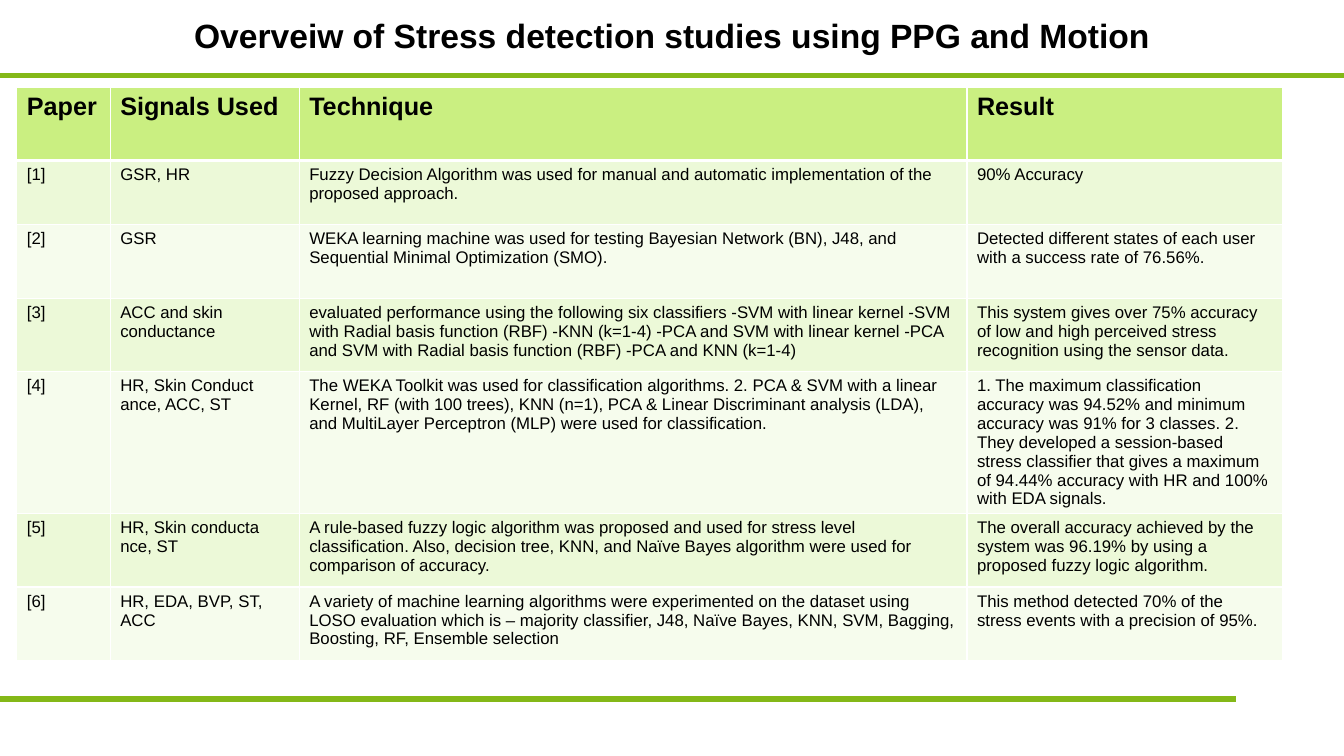
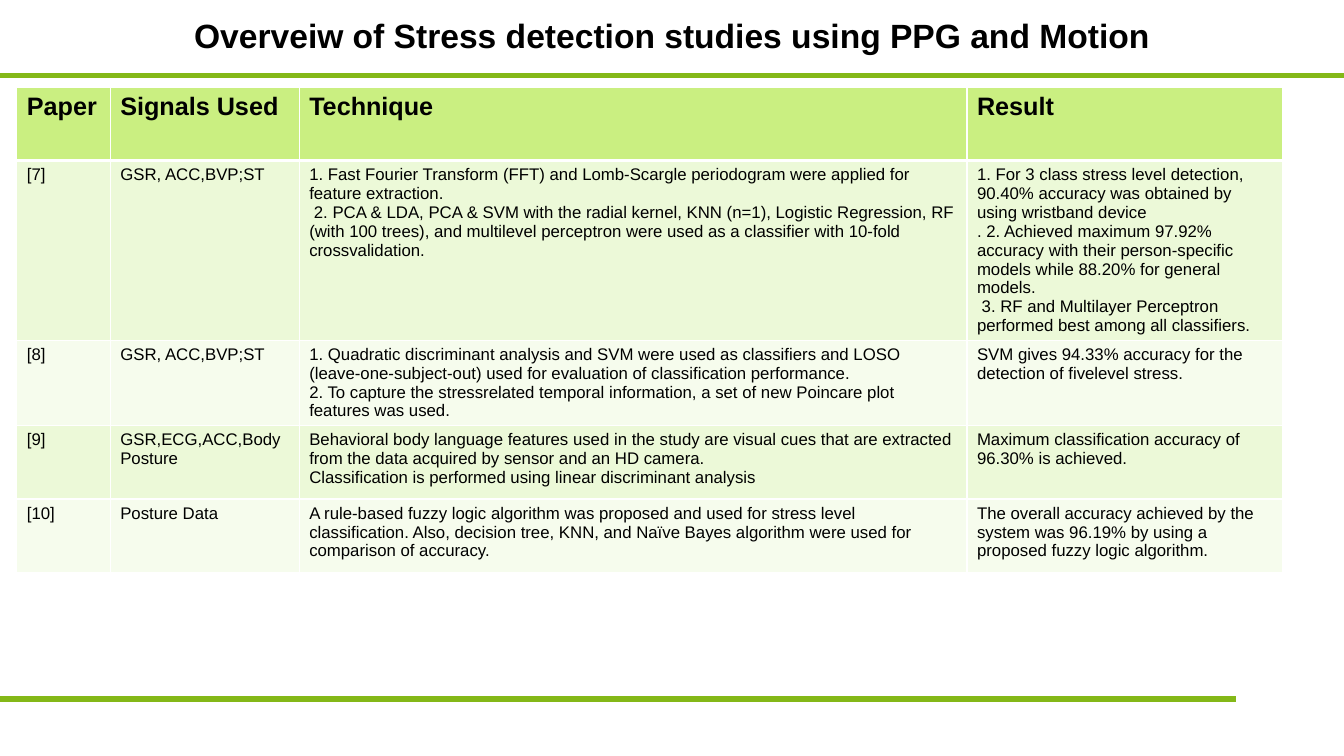
"""Two slides that tabulate stress detection studies."""
from dataclasses import dataclass

from lxml import etree
from pptx import Presentation
from pptx.dml.color import RGBColor
from pptx.enum.shapes import MSO_CONNECTOR
from pptx.enum.text import MSO_ANCHOR, MSO_AUTO_SIZE, PP_ALIGN
from pptx.oxml.ns import qn
from pptx.util import Emu, Pt

LINE = MSO_CONNECTOR.STRAIGHT
MIDDLE = MSO_ANCHOR.MIDDLE
FIXED = MSO_AUTO_SIZE.NONE
LEFT, CENTER = PP_ALIGN.LEFT, PP_ALIGN.CENTER
SCALE = 9525
WIDE, HIGH = 1280, 720
COLS = (89, 180, 636, 301)
HEAD = ("Paper", "Signals Used", "Technique", "Result")
TITLE = "Overveiw of Stress detection studies using PPG and Motion"


@dataclass(frozen=True)
class Theme:
    font: str = "Arial"
    ink: str = "000000"
    rule: str = "84B818"
    head: str = "CAEF81"
    bands: tuple[str, str] = ("ECF9D8", "F6FCED")
    edge: str = "FFFFFF"
    title: int = 24
    label: int = 18
    body: int = 12
    thick: int = 4
    thin: int = 1
    heavy: int = 3


@dataclass(frozen=True)
class Rule:
    y: int
    end: int


@dataclass(frozen=True)
class Study:
    high: int
    paper: str
    signals: str
    method: str
    result: str

    @property
    def cells(self) -> tuple[str, ...]:
        return self.paper, self.signals, self.method, self.result


THEME = Theme()
RULES = (Rule(72, WIDE), Rule(666, 1177))
FUZZY = (
    "A rule-based fuzzy logic algorithm was proposed and used for stress level "
    "classification. Also, decision tree, KNN, and Naïve Bayes algorithm were used "
    "for comparison of accuracy."
)
SCORE = (
    "The overall accuracy achieved by the system was 96.19% by using a proposed "
    "fuzzy logic algorithm."
)
DECK = (
    (
        Study(
            61, "[1]", "GSR, HR",
            "Fuzzy Decision Algorithm was used for manual and automatic "
            "implementation of the proposed approach.",
            "90% Accuracy",
        ),
        Study(
            70, "[2]", "GSR",
            "WEKA learning machine was used for testing Bayesian Network (BN), J48, "
            "and Sequential Minimal Optimization (SMO).",
            "Detected different states of each user with a success rate of 76.56%.",
        ),
        Study(
            70, "[3]", "ACC and skin conductance",
            "evaluated performance using the following six classifiers -SVM with "
            "linear kernel -SVM with Radial basis function (RBF) -KNN (k=1-4) -PCA "
            "and SVM with linear kernel -PCA and SVM with Radial basis function "
            "(RBF) -PCA and KNN (k=1-4)",
            "This system gives over 75% accuracy of low and high perceived stress "
            "recognition using the sensor data.",
        ),
        Study(
            135, "[4]", "HR, Skin Conduct ance, ACC, ST",
            "The WEKA Toolkit was used for classification algorithms. 2. PCA & SVM "
            "with a linear Kernel, RF (with 100 trees), KNN (n=1), PCA & Linear "
            "Discriminant analysis (LDA), and MultiLayer Perceptron (MLP) were used "
            "for classification.",
            "1. The maximum classification accuracy was 94.52% and minimum accuracy "
            "was 91% for 3 classes. 2. They developed a session-based stress "
            "classifier that gives a maximum of 94.44% accuracy with HR and 100% "
            "with EDA signals.",
        ),
        Study(70, "[5]", "HR, Skin conducta nce, ST", FUZZY, SCORE),
        Study(
            70, "[6]", "HR, EDA, BVP, ST, ACC",
            "A variety of machine learning algorithms were experimented on the "
            "dataset using LOSO evaluation which is – majority classifier, J48, "
            "Naïve Bayes, KNN, SVM, Bagging, Boosting, RF, Ensemble selection",
            "This method detected 70% of the stress events with a precision of 95%.",
        ),
    ),
    (
        Study(
            171, "[7]", "GSR, ACC,BVP;ST",
            "1. Fast Fourier Transform (FFT) and Lomb-Scargle periodogram were "
            "applied for feature extraction.\n"
            " 2. PCA & LDA, PCA & SVM with the radial kernel, KNN (n=1), Logistic "
            "Regression, RF (with 100 trees), and multilevel perceptron were used as "
            "a classifier with 10-fold crossvalidation.",
            "1. For 3 class stress level detection, 90.40% accuracy was obtained by "
            "using wristband device\n"
            ". 2. Achieved maximum 97.92% accuracy with their person-specific models "
            "while 88.20% for general models.\n"
            " 3. RF and Multilayer Perceptron performed best among all classifiers.",
        ),
        Study(
            81, "[8]", "GSR, ACC,BVP;ST",
            "1. Quadratic discriminant analysis and SVM were used as classifiers and "
            "LOSO (leave-one-subject-out) used for evaluation of classification "
            "performance.\n"
            "2. To capture the stressrelated temporal information, a set of new "
            "Poincare plot features was used.",
            "SVM gives 94.33% accuracy for the detection of fivelevel stress.",
        ),
        Study(
            70, "[9]", "GSR,ECG,ACC,Body Posture",
            "Behavioral body language features used in the study are visual cues "
            "that are extracted from the data acquired by sensor and an HD camera.\n"
            "Classification is performed using linear discriminant analysis",
            "Maximum classification accuracy of 96.30% is achieved.",
        ),
        Study(70, "[10]", "Posture Data", FUZZY, SCORE),
    ),
)


def px(size: int) -> Emu:
    """Turn pixels into EMU."""
    return Emu(size * SCALE)


def put(frame, text: str, *, size: int, bold: bool = False, align=LEFT) -> None:
    """Write text, one paragraph a line, in one format."""
    frame.text = text
    for para in frame.paragraphs:
        para.alignment = align
        for run in para.runs:
            font = run.font
            font.name, font.size, font.bold = THEME.font, Pt(size), bold
            font.color.rgb = RGBColor.from_string(THEME.ink)


def edge(cell, side: str, width: int) -> None:
    """Draw one border of a table cell."""
    props = cell._tc.get_or_add_tcPr()
    line = etree.SubElement(props, qn(f"a:ln{side}"), w=str(Pt(width)))
    fill = etree.SubElement(line, qn("a:solidFill"))
    etree.SubElement(fill, qn("a:srgbClr"), val=THEME.edge)


def draw_rule(slide, layout, rule: Rule) -> None:
    """Draw a green rule and move it to the layout."""
    line = slide.shapes.add_connector(LINE, 0, px(rule.y), px(rule.end), px(rule.y))
    line.line.color.rgb = RGBColor.from_string(THEME.rule)
    line.line.width = Pt(THEME.thick)
    etree.SubElement(line.element.spPr, qn("a:effectLst"))
    layout.shapes.element.append(line.element)


def draw_title(slide) -> None:
    """Fill the title placeholder."""
    frame = slide.shapes.title.text_frame
    frame.margin_left = frame.margin_right = 0
    frame.margin_top = frame.margin_bottom = 0
    frame.auto_size, frame.vertical_anchor = FIXED, MIDDLE
    put(frame, TITLE, size=THEME.title, bold=True, align=CENTER)


def draw_cell(cell, text: str, row: int) -> None:
    """Format one cell by the row it is in."""
    head = row == 0
    widths = {
        "L": THEME.thin,
        "R": THEME.thin,
        "T": THEME.heavy if row == 1 else THEME.thin,
        "B": THEME.heavy if head else THEME.thin,
    }
    for side, width in widths.items():
        edge(cell, side, width)
    cell.fill.solid()
    tint = THEME.head if head else THEME.bands[(row - 1) % 2]
    cell.fill.fore_color.rgb = RGBColor.from_string(tint)
    size = THEME.label if head else THEME.body
    put(cell.text_frame, text, size=size, bold=head)


def draw_table(slide, studies: tuple[Study, ...]) -> None:
    """Lay out the studies under the heading row."""
    rows = (Study(70, *HEAD), *studies)
    high = sum(row.high for row in rows)
    table = slide.shapes.add_table(
        len(rows), len(COLS), px(16), px(83), px(sum(COLS)), px(high)
    ).table
    for col, width in zip(table.columns, COLS):
        col.width = px(width)
    for r, study in enumerate(rows):
        table.rows[r].height = px(study.high)
        for c, text in enumerate(study.cells):
            draw_cell(table.cell(r, c), text, r)


def main() -> None:
    """Build and save the deck."""
    deck = Presentation()
    deck.slide_width, deck.slide_height = px(WIDE), px(HIGH)
    layout = deck.slide_layouts[5]
    title = layout.placeholders[0]
    title.left, title.top, title.width, title.height = 0, 0, px(WIDE), px(66)
    slides = [deck.slides.add_slide(layout) for _ in DECK]
    for rule in RULES:
        draw_rule(slides[0], layout, rule)
    for slide, studies in zip(slides, DECK):
        draw_title(slide)
        draw_table(slide, studies)
    deck.save("out.pptx")


if __name__ == "__main__":
    main()
